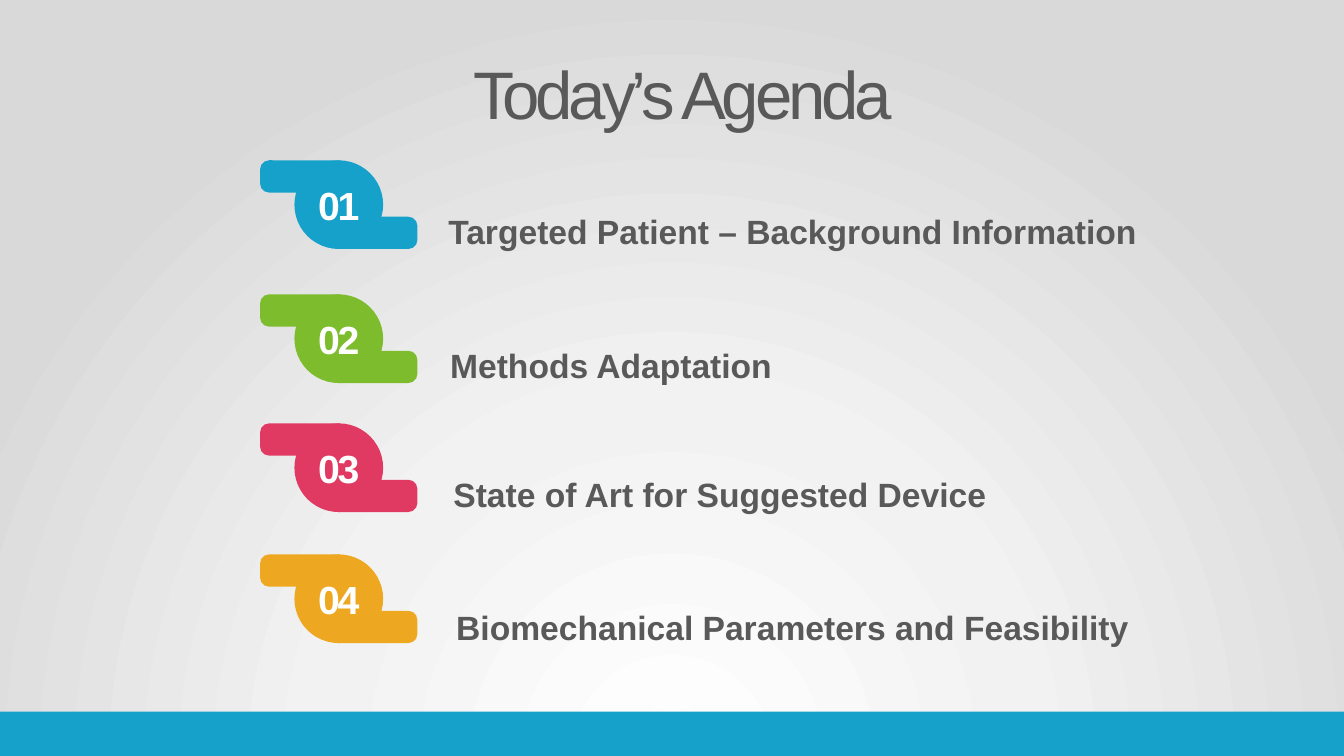
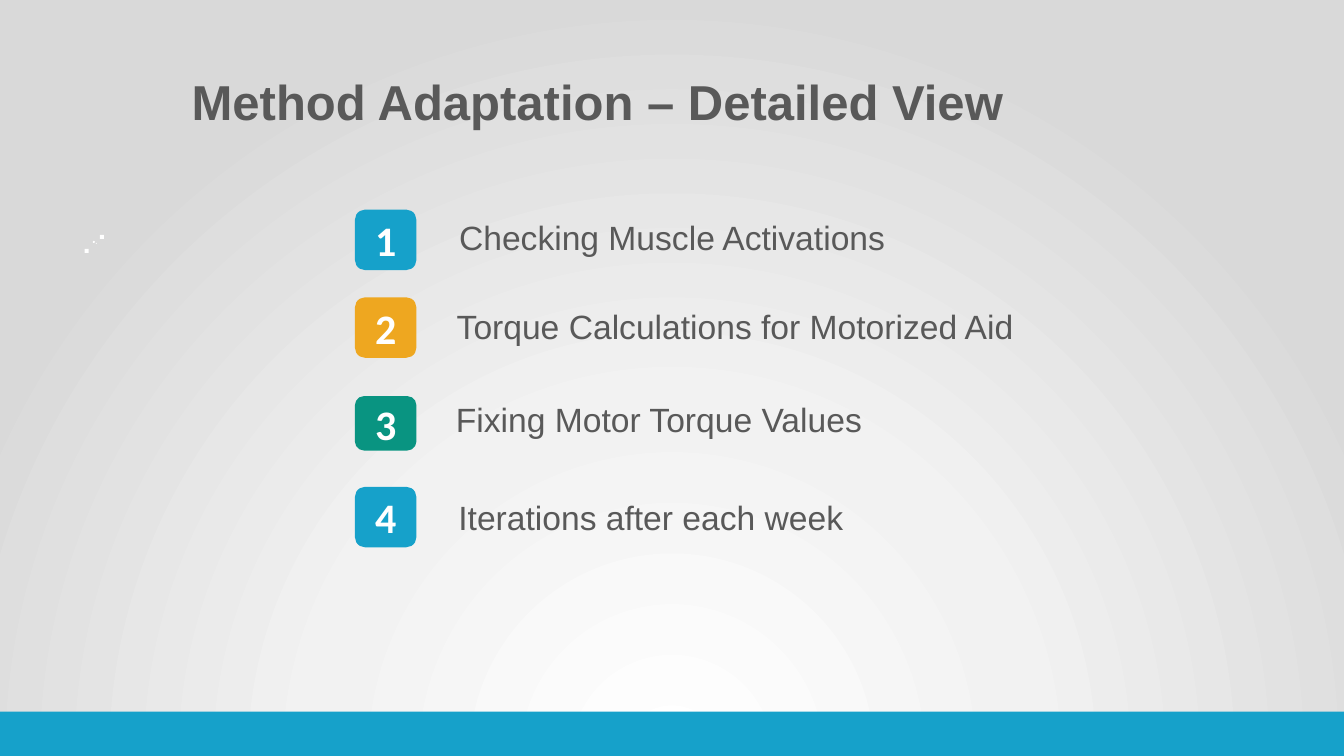
from dataclasses import dataclass

from pptx import Presentation
from pptx import util as u
from pptx.dml.color import RGBColor
from pptx.enum import shapes, text
from pptx.oxml import parse_xml
from pptx.oxml.ns import nsdecls, qn


@dataclass(frozen=True)
class Theme:
    blue: str = "16A1CA"
    green: str = "7DBC2D"
    red: str = "E13A62"
    amber: str = "EEA720"
    teal: str = "099481"
    white: str = "FFFFFF"
    grey: str = "595959"
    font: str = "Arial"
    badge_font: str = "Calibri"
    title: int = 48
    heading: int = 35
    badge: int = 30
    tab: int = 28
    body: int = 24
    gradient: tuple = ((0, "FFFFFF"), (46, "F2F2F2"), (100, "D9D9D9"))


THEME = Theme()
ROUND = shapes.MSO_SHAPE.ROUNDED_RECTANGLE
SQUARE = shapes.MSO_SHAPE.RECTANGLE
OVAL = shapes.MSO_SHAPE.OVAL
FRAME = {"word_wrap": True, "auto_size": text.MSO_AUTO_SIZE.SHAPE_TO_FIT_TEXT}
CENTRED = {
    "vertical_anchor": text.MSO_ANCHOR.MIDDLE,
    "margin_left": 0,
    "margin_right": 0,
    "margin_top": 0,
    "margin_bottom": 0,
}


def apply(target, values):
    for name, value in values.items():
        setattr(target, name, value)


def inches(box):
    return [u.Inches(length) for length in box]


def write(frame, words, size, colour, font=THEME.font, bold=False, spacing=0):
    para = frame.paragraphs[0]
    para.alignment = text.PP_ALIGN.CENTER
    span = para.add_run()
    span.text = words
    apply(span.font, {"name": font, "size": u.Pt(size), "bold": bold})
    span.font.color.rgb = RGBColor.from_string(colour)
    if spacing:
        span._r.get_or_add_rPr().set("spc", str(int(spacing * 100)))


def add_text(page, box, words, size, **style):
    label = page.shapes.add_textbox(*inches(box))
    apply(label.text_frame, FRAME)
    write(label.text_frame, words, size, THEME.grey, **style)


def add_block(parent, kind, box, colour, rounding=None):
    block = parent.shapes.add_shape(kind, *inches(box))
    block.shadow.inherit = False
    block.fill.solid()
    block.fill.fore_color.rgb = RGBColor.from_string(colour)
    block.line.fill.background()
    if rounding is not None:
        block.adjustments[0] = rounding
    return block


def add_tab(page, left, top, number, colour):
    group = page.shapes.add_group_shape()
    for across, down in ((0.69, 0.56), (0, 0)):
        add_block(group, ROUND, (left + across, top + down, 0.87, 0.32), colour, 0.28)
    disc = add_block(group, ROUND, (left + 0.34, top, 0.88, 0.88), colour, 0.5)
    apply(disc.text_frame, CENTRED)
    write(disc.text_frame, number, THEME.tab, THEME.white, bold=True, spacing=-1.5)


def add_badge(page, box, number, colour):
    badge = add_block(page, ROUND, box, colour)
    apply(badge.text_frame, CENTRED)
    write(badge.text_frame, number, THEME.badge, THEME.white, THEME.badge_font, True)


def add_specks(page, left, top):
    for kind, across, down, size in (
        (SQUARE, 0, 0.14, 0.04),
        (SQUARE, 0.15, 0, 0.04),
        (OVAL, 0.08, 0.06, 0.02),
        (OVAL, 0.11, 0.08, 0.01),
    ):
        add_block(page, kind, (left + across, top + down, size, size), THEME.white)


def set_background(deck):
    master = deck.slide_master
    master.background.fill.gradient()
    old = master.element.find(".//" + qn("p:bgPr") + "/" + qn("a:gradFill"))
    stops = "".join(
        f'<a:gs pos="{place * 1000}"><a:srgbClr val="{colour}"/></a:gs>'
        for place, colour in THEME.gradient
    )
    gradient = parse_xml(
        f'<a:gradFill {nsdecls("a")} rotWithShape="1"><a:gsLst>{stops}</a:gsLst>'
        '<a:path path="circle">'
        '<a:fillToRect l="50000" t="130000" r="50000" b="-30000"/>'
        "</a:path></a:gradFill>"
    )
    old.getparent().replace(old, gradient)


def add_page(deck):
    page = deck.slides.add_slide(deck.slide_layouts[6])
    add_block(page, SQUARE, (0, 7.06, 13.33, 0.44), THEME.blue)
    return page


def agenda_slide(deck):
    page = add_page(deck)
    add_text(page, (3.7, 0.47, 6.14, 0.91), "Today’s Agenda", THEME.title, spacing=-3)
    rows = (
        (1.59, THEME.blue, 3.8, 2.04, 8.12, "Targeted Patient – Background Information"),
        (2.92, THEME.green, 2.28, 3.37, 7.56, "Methods Adaptation"),
        (4.2, THEME.red, 3.36, 4.65, 7.56, "State of Art for Suggested Device"),
        (5.5, THEME.amber, 4.08, 5.97, 7.56, "Biomechanical Parameters and Feasibility"),
    )
    for number, (tab_top, colour, left, top, width, words) in enumerate(rows, 1):
        add_tab(page, 2.58, tab_top, f"{number:02}", colour)
        add_text(page, (left, top, width, 0.5), words, THEME.body, bold=True)


def method_slide(deck):
    page = add_page(deck)
    add_text(page, (0.5, 0.66, 10.86, 0.69), "Method Adaptation – Detailed View",
             THEME.heading, bold=True)
    add_specks(page, 0.84, 2.33)
    rows = (
        (2.08, 0.6, THEME.blue, 1.58, 2.1, 10.17, "Checking Muscle Activations"),
        (2.95, 0.6, THEME.amber, 3.93, 2.99, 6.72, "Torque Calculations for Motorized Aid"),
        (3.93, 0.54, THEME.teal, 4.27, 3.91, 4.53, "Fixing Motor Torque Values"),
        (4.83, 0.6, THEME.blue, 4.27, 4.88, 4.37, "Iterations after each week"),
    )
    for number, (badge_top, height, colour, left, top, width, words) in enumerate(rows, 1):
        add_badge(page, (3.52, badge_top, 0.61, height), str(number), colour)
        add_text(page, (left, top, width, 0.5), words, THEME.body)


def main():
    deck = Presentation()
    apply(deck, {"slide_width": u.Inches(13.33), "slide_height": u.Inches(7.5)})
    set_background(deck)
    agenda_slide(deck)
    method_slide(deck)
    deck.save("out.pptx")


if __name__ == "__main__":
    main()
